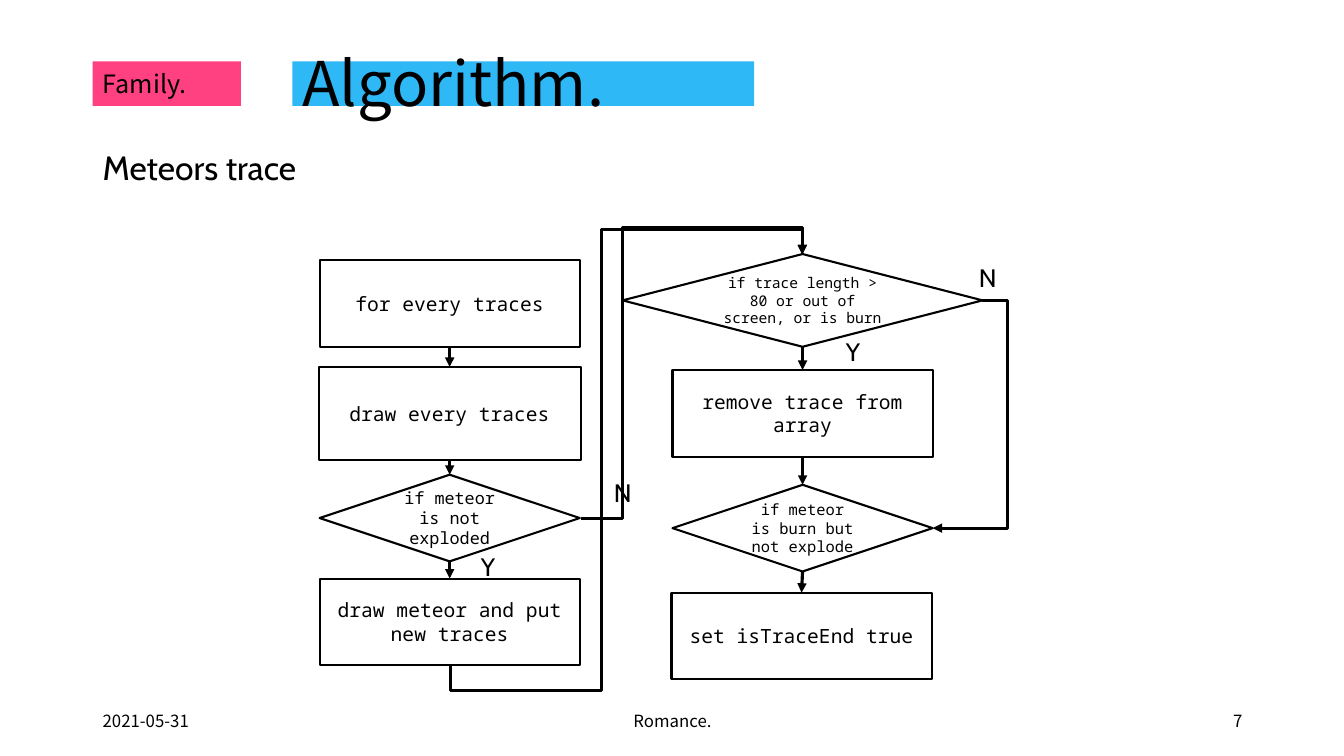
from pptx import Presentation
from pptx import util as u
from pptx.dml.color import RGBColor
from pptx.enum import shapes, text
from pptx.oxml.ns import qn
from lxml import etree

BOX, DECISION = shapes.MSO_SHAPE.FLOWCHART_PROCESS, shapes.MSO_SHAPE.FLOWCHART_DECISION
LEFT, CENTER, RIGHT = text.PP_ALIGN.LEFT, text.PP_ALIGN.CENTER, text.PP_ALIGN.RIGHT
TOP, BOTTOM = 0, 2


def color(value):
    return RGBColor.from_string(value)


class FlowSlide:
    """Draws styled elements on one slide, on a grid of one-inch columns and rows."""

    heading_font, label_font, step_font = "Noto Sans CJK KR", "Cabin", "Noto Sans Mono"
    ink, paper = "000000", "FFFFFF"
    columns, rows = 13.33, 7.5

    def __init__(self):
        self.deck = Presentation()
        self.deck.slide_width, self.deck.slide_height = self.grid(self.columns, self.rows)
        self.slide = self.deck.slides.add_slide(self.deck.slide_layouts[6])

    def grid(self, *lengths):
        return [u.Inches(length) for length in lengths]

    def add_words(self, frame, words, size, font, align, spacing=None):
        paragraph = frame.paragraphs[0]
        paragraph.alignment = align
        if spacing:
            paragraph.line_spacing = spacing
        run = paragraph.add_run()
        run.text = words
        run.font.size, run.font.name = u.Pt(size), font
        run.font.color.rgb = color(self.ink)

    def heading(self, words, place, size, align=LEFT, spacing=None):
        frame = self.slide.shapes.add_textbox(*self.grid(*place)).text_frame
        frame.word_wrap = True
        frame.vertical_anchor = text.MSO_ANCHOR.MIDDLE
        self.add_words(frame, words, size, self.heading_font, align, spacing)

    def label(self, words, place, size=18):
        frame = self.slide.shapes.add_textbox(*self.grid(*place)).text_frame
        frame.word_wrap = False
        frame.auto_size = text.MSO_AUTO_SIZE.SHAPE_TO_FIT_TEXT
        self.add_words(frame, words, size, self.label_font, LEFT)

    def shape(self, kind, place, fill):
        shape = self.slide.shapes.add_shape(kind, *self.grid(*place))
        shape.shadow.inherit = False
        shape.fill.solid()
        shape.fill.fore_color.rgb = color(fill)
        return shape

    def band(self, place, fill):
        self.shape(shapes.MSO_SHAPE.RECTANGLE, place, fill).line.fill.background()

    def step(self, kind, words, center, top, size=14, width=2.58, height=0.86):
        step = self.shape(kind, (center - width / 2, top, width, height), self.paper)
        step.line.color.rgb = color(self.ink)
        step.line.width = u.Pt(1.5)
        step.text_frame.word_wrap = True
        step.text_frame.vertical_anchor = text.MSO_ANCHOR.MIDDLE
        self.add_words(step.text_frame, words, size, self.step_font, CENTER)
        return step

    def arrow(self, kind, start, end):
        arrow = self.slide.shapes.add_connector(kind, *self.grid(*start, *end))
        arrow.line.color.rgb = color(self.ink)
        arrow.line.width = u.Pt(2.25)
        etree.SubElement(arrow.get_or_add_ln(), qn("a:tailEnd"), type="triangle")
        etree.SubElement(arrow.element.spPr, qn("a:effectLst"))
        return arrow

    def flow(self, steps):
        for upper, lower in zip(steps, steps[1:]):
            arrow = self.arrow(shapes.MSO_CONNECTOR.STRAIGHT, (0, 0), (0, 0))
            arrow.begin_connect(upper, BOTTOM)
            arrow.end_connect(lower, TOP)

    def detour(self, start, end, bends, turn=0):
        properties = self.arrow(shapes.MSO_CONNECTOR.ELBOW, start, end).element.spPr
        properties.find(qn("a:xfrm")).set("rot", str(turn * 60000))
        geometry = properties.find(qn("a:prstGeom"))
        geometry.set("prst", f"bentConnector{len(bends) + 2}")
        guides = geometry.find(qn("a:avLst"))
        for number, bend in enumerate(bends, 1):
            etree.SubElement(guides, qn("a:gd"), name=f"adj{number}",
                             fmla=f"val {round(bend * 100000)}")


def main():
    page = FlowSlide()
    page.band((0.92, 0.61, 1.47, 0.44), "FF4081")
    page.band((2.9, 0.61, 4.58, 0.44), "2EB8F6")
    page.heading("Algorithm.", (2.9, 0.4, 9.51, 0.92), 44, spacing=0.9)
    page.heading("Family.", (0.92, 0.4, 1.82, 0.92), 18, spacing=0.7)
    page.label("Meteors trace", (0.92, 1.41, 2.27, 0.5), 24)

    draw_center, remove_center = 4.46, 7.96
    drawing = [
        page.step(BOX, "for every traces", draw_center, 2.58),
        page.step(BOX, "draw every traces", draw_center, 3.64, width=2.6, height=0.92),
        page.step(DECISION, "if meteor is not exploded", draw_center, 4.71, 12),
        page.step(BOX, "draw meteor and put new traces", draw_center, 5.74),
    ]
    removal = [
        page.step(DECISION, "if trace length > 80 or out of screen, or is burn",
                  remove_center, 2.52, 10.5, 3.57, 0.92),
        page.step(BOX, "remove trace from array", remove_center, 3.67),
        page.step(DECISION, "if meteor is burn but not explode", remove_center, 4.81, 11),
        page.step(BOX, "set isTraceEnd true", remove_center - 0.01, 5.88),
    ]
    page.flow(drawing)
    page.flow(removal)
    page.detour((8.25, 6.31), (4.17, 2.82), (-0.06, 0.43, 1.06), turn=90)
    page.detour((5.76, 5.14), (remove_center, 2.52), (0.19, 1.1))
    page.detour((9.74, 2.98), (9.25, 5.24), (-0.51,))

    for answer, left, top, width in [("Y", 8.29, 3.29, 0.35), ("N", 9.61, 2.55, 0.38),
                                     ("Y", 4.67, 5.42, 0.35), ("N", 5.99, 4.69, 0.38)]:
        page.label(answer, (left, top, width, 0.4))

    for words, left, width, align in [("2021-05-31", 0.92, 3, LEFT),
                                      ("Romance.", 4.42, 4.5, CENTER),
                                      ("7", 9.42, 3, RIGHT)]:
        page.heading(words, (left, 6.95, width, 0.4), 12, align)

    page.deck.save("out.pptx")


if __name__ == "__main__":
    main()
